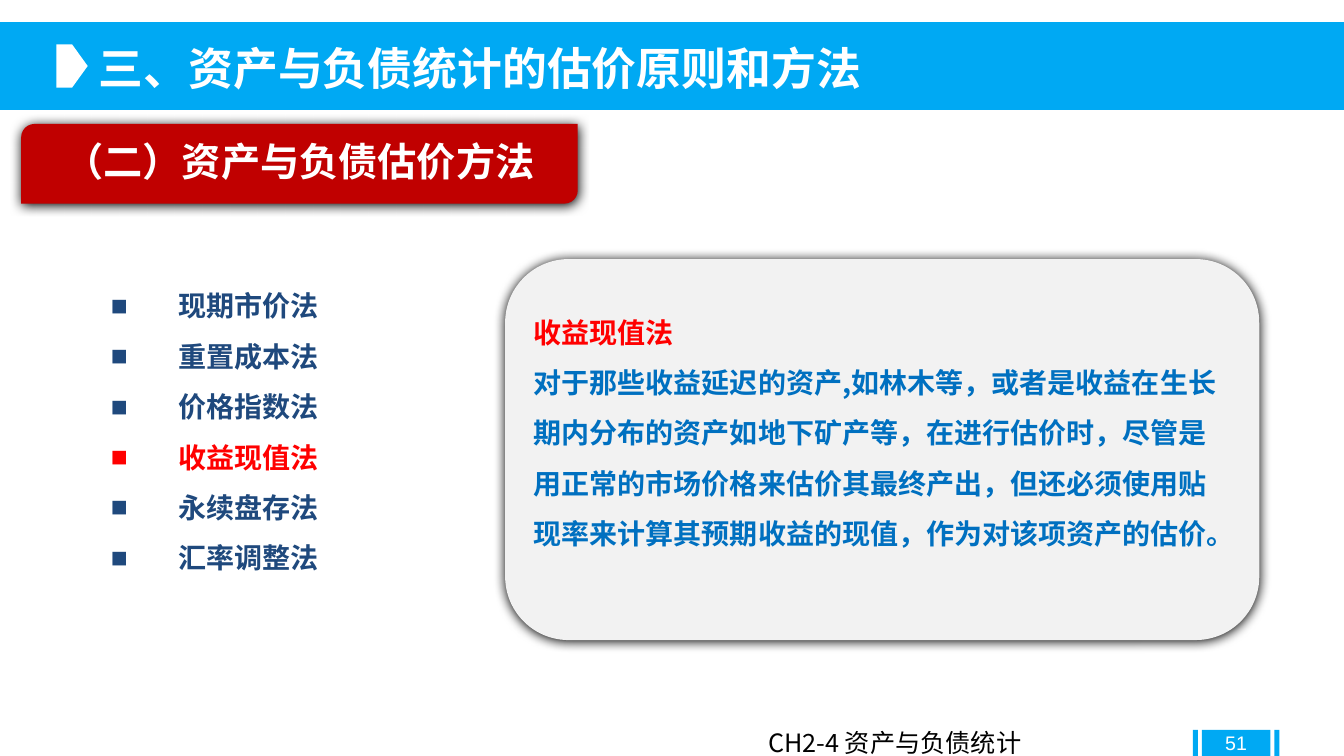
"""Builds the slide on valuing assets with the present value method."""
from dataclasses import dataclass

from pptx import Presentation, oxml, util as u
from pptx.dml.color import RGBColor
from pptx.enum import shapes, text
from pptx.oxml import ns

KIND = shapes.MSO_SHAPE
ANCHOR = text.MSO_ANCHOR
ALIGN = text.PP_ALIGN


@dataclass(frozen=True)
class Theme:
    """Colours, fonts and type sizes."""
    sky: str = "00A9F3"
    white: str = "FFFFFF"
    black: str = "000000"
    navy: str = "1F497D"
    blue: str = "0070C0"
    red: str = "FF0000"
    crimson: str = "C00000"
    pale: str = "F2F2F2"
    sans: str = "Noto Sans CJK SC"
    latin: str = "Arial"
    head: int = 32
    sub: int = 28
    body: int = 20
    foot: int = 18
    page: int = 14


class Deck:
    """Holds the theme and the current slide."""

    def __init__(self, theme):
        """Starts a wide deck with one title and content slide."""
        self.theme = theme
        self.prs = Presentation()
        self.prs.slide_width = u.Inches(13.33)
        self.prs.slide_height = u.Inches(7.5)
        self.slide = self.prs.slides.add_slide(self.prs.slide_layouts[1])

    def place(self, item, box):
        """Moves an item to left, top, width, height."""
        for name, size in zip(("left", "top", "width", "height"), box):
            setattr(item, name, u.Inches(size))

    def fill_text(self, item, lines, size, bold=True, font=None, bullet=False,
                  frame=None, para=None):
        """Fills an item with lines given as pairs of text and colour."""
        body = item.text_frame
        look = {"auto_size": text.MSO_AUTO_SIZE.NONE, "word_wrap": True,
                "vertical_anchor": ANCHOR.TOP, **(frame or {})}
        for name, value in look.items():
            setattr(body, name, value)
        face = font or self.theme.sans
        form = {"alignment": ALIGN.LEFT, "space_before": u.Pt(0), **(para or {})}
        for num, (words, tint) in enumerate(lines):
            part = body.add_paragraph() if num else body.paragraphs[0]
            for name, value in form.items():
                setattr(part, name, value)
            run = part.add_run()
            run.text = words
            for name, value in {"size": u.Pt(size), "bold": bold, "name": face}.items():
                setattr(run.font, name, value)
            run.font.color.rgb = RGBColor.from_string(tint)
            east = oxml.parse_xml(f'<a:ea {ns.nsdecls("a")} typeface="{face}"/>')
            run.font._element.append(east)
            if bullet:
                self.mark(part)

    def mark(self, part):
        """Gives a paragraph a square bullet and a hanging indent."""
        props = part._p.get_or_add_pPr()
        props.set("marL", str(u.Inches(0.67)))
        props.set("indent", str(u.Inches(-0.67)))
        props.append(oxml.parse_xml(f'<a:buChar {ns.nsdecls("a")} char="■"/>'))

    def title(self, box, words):
        """Sets the title placeholder."""
        item = self.slide.shapes.title
        self.place(item, box)
        self.fill_text(item, [(words, self.theme.white)], self.theme.head,
                       frame={"word_wrap": False})

    def list(self, box, lines):
        """Sets the body placeholder as a bulleted list."""
        item = self.slide.placeholders[1]
        self.place(item, box)
        self.fill_text(item, lines, self.theme.body, bullet=True,
                       para={"line_spacing": 1.5})

    def shape(self, kind, box, fill, shade=False):
        """Adds a filled preset shape without outline."""
        item = self.slide.shapes.add_shape(kind, *map(u.Inches, box))
        item.fill.solid()
        item.fill.fore_color.rgb = RGBColor.from_string(fill)
        item.line.fill.background()
        item.shadow.inherit = False
        if shade:
            glow = item._element.spPr.find(ns.qn("a:effectLst"))
            glow.append(oxml.parse_xml(
                f'<a:outerShdw {ns.nsdecls("a")} blurRad="{u.Pt(8.5)}" '
                f'dist="{u.Pt(1)}" dir="5400000" algn="t" rotWithShape="0">'
                f'<a:srgbClr val="{self.theme.black}"/></a:outerShdw>'))
        return item

    def back(self, kind, box, fill):
        """Adds a shape behind everything else."""
        item = self.shape(kind, box, fill)
        self.slide.shapes._spTree.insert(2, item._element)

    def label(self, box, words, tint, size, **form):
        """Adds a text box with one line."""
        item = self.slide.shapes.add_textbox(*map(u.Inches, box))
        self.fill_text(item, [(words, tint)], size, bold=False, **form)


def main():
    """Draws the slide and saves it."""
    look = Theme()
    deck = Deck(look)

    deck.back(KIND.RECTANGLE, (0, 0.22, 13.33, 0.87), look.sky)
    deck.title((0.88, 0.35, 7.83, 0.64), "三、资产与负债统计的估价原则和方法")
    deck.shape(KIND.PENTAGON, (0.56, 0.44, 0.31, 0.43), look.white)

    ways = ["现期市价法", "重置成本法", "价格指数法", "收益现值法", "永续盘存法", "汇率调整法"]
    topic = ways[3]
    deck.list((1, 2.65, 3.8, 3.13),
              [(way, look.red if way == topic else look.navy) for way in ways])

    panel = deck.shape(KIND.ROUNDED_RECTANGLE, (5.01, 2.57, 7.48, 3.78), look.pale, True)
    notes = ["对于那些收益延迟的资产,如林木等，或者是收益在生长",
             "期内分布的资产如地下矿产等，在进行估价时，尽管是",
             "用正常的市场价格来估价其最终产出，但还必须使用贴",
             "现率来计算其预期收益的现值，作为对该项资产的估价。"]
    deck.fill_text(panel, [(topic, look.red)] + [(note, look.blue) for note in notes],
                   look.body, para={"line_spacing": 1.5},
                   frame={"word_wrap": False, "vertical_anchor": ANCHOR.MIDDLE,
                          "margin_bottom": u.Inches(0.55)})

    banner = deck.shape(KIND.ROUND_2_DIAG_RECTANGLE, (0.21, 1.23, 5.52, 0.79),
                        look.crimson, True)
    pads = {"margin_left": 0.31, "margin_right": 0.31,
            "margin_top": 0.12, "margin_bottom": 0.12}
    deck.fill_text(banner, [("（二）资产与负债估价方法", look.white)], look.sub,
                   para={"alignment": ALIGN.CENTER, "line_spacing": 0.9},
                   frame={"vertical_anchor": ANCHOR.MIDDLE,
                          **{name: u.Inches(pad) for name, pad in pads.items()}})

    for left, width in ((11.83, 0.05), (11.92, 0.68), (12.64, 0.05)):
        deck.shape(KIND.RECTANGLE, (left, 7.24, width, 0.27), look.sky)
    deck.label((7.52, 7.17, 4.29, 0.4), "CH2-4 资产与负债统计", look.black, look.foot)
    deck.label((11.92, 7.17, 0.68, 0.4), "51", look.white, look.page, font=look.latin,
               frame={"vertical_anchor": ANCHOR.MIDDLE},
               para={"alignment": ALIGN.CENTER})

    deck.prs.save("out.pptx")


if __name__ == "__main__":
    main()
